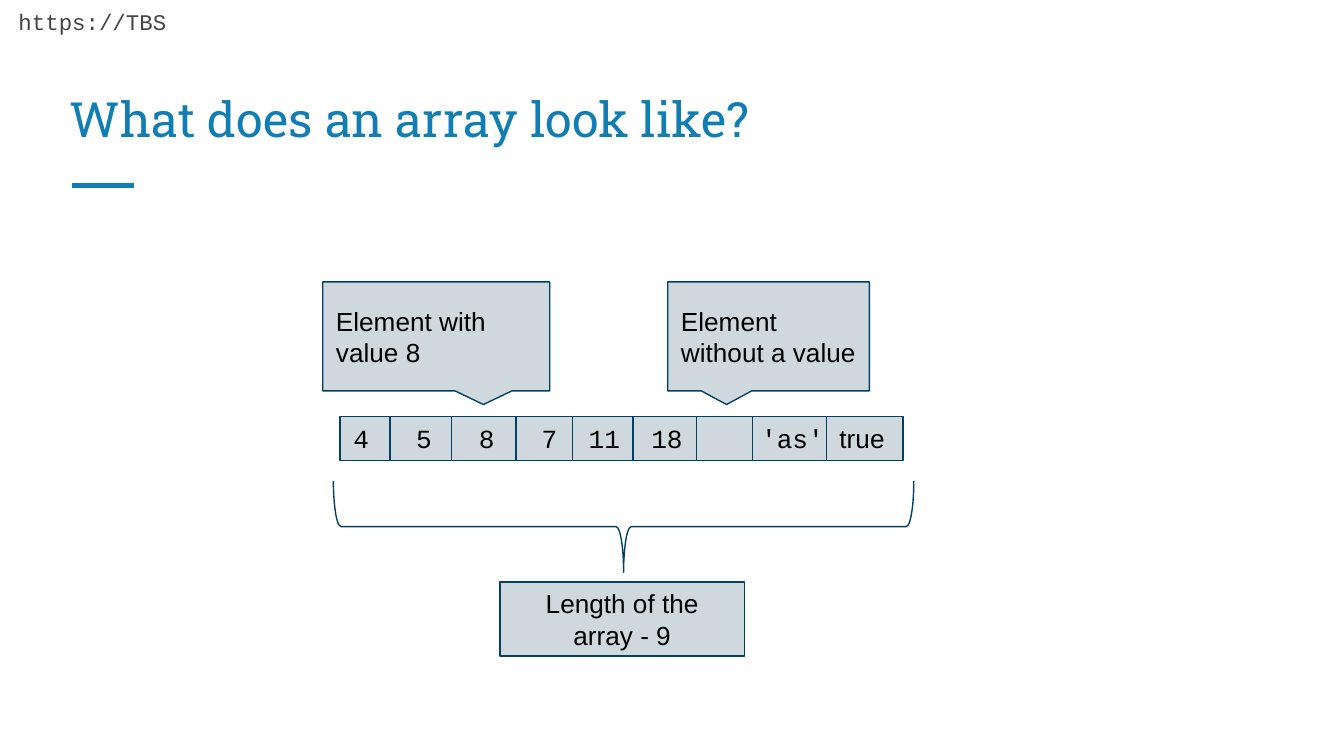
from dataclasses import dataclass

from lxml.etree import SubElement
from pptx import Presentation
from pptx.dml.color import RGBColor
from pptx.enum.shapes import MSO_CONNECTOR, MSO_SHAPE
from pptx.enum.text import MSO_ANCHOR, PP_ALIGN
from pptx.oxml.ns import qn
from pptx.util import Cm, Pt


@dataclass(frozen=True)
class Theme:
    accent: RGBColor = RGBColor(0x10, 0x7D, 0xB4)
    outline: RGBColor = RGBColor(0x00, 0x40, 0x65)
    panel: RGBColor = RGBColor(0xCF, 0xD8, 0xDC)
    ink: RGBColor = RGBColor(0x00, 0x00, 0x00)
    muted: RGBColor = RGBColor(0x44, 0x44, 0x44)
    sans: str = "Arial"
    mono: str = "Courier New"
    slab: str = "Roboto Slab"
    title_size: float = 26
    body_size: float = 14
    link_size: float = 12
    thin: float = 0.75
    thick: float = 3
    mono_advance: float = 0.6


THEME = Theme()
ARRAY_LEFT, ARRAY_TOP, ARRAY_WIDTH, ARRAY_HEIGHT = 6.43, 7.87, 10.64, 0.84
DIVIDERS = (7.37, 8.53, 9.75, 10.82, 11.96, 13.16, 14.22, 15.62)
ELEMENTS = (
    ("4", 0), ("5", 4), ("8", 8), ("7", 12),
    ("11", 15), ("18", 19), ("'as'", 26), ("true", 31),
)
CALLOUTS = (
    ("Element with value 8", 6.1, 4.29, 0.208),
    ("Element without a value", 12.62, 3.81, -0.208),
)


def prepare_frame(shape, anchor, align=PP_ALIGN.LEFT):
    frame = shape.text_frame
    frame.word_wrap = True
    frame.vertical_anchor = anchor
    frame.margin_left = frame.margin_right = Cm(0.25)
    frame.margin_top = frame.margin_bottom = Cm(0.25)
    para = frame.paragraphs[0]
    para.alignment = align
    return para


def add_span(para, text, font, size, color):
    span = para.add_run()
    span.text = text
    span.font.name = font
    span.font.size = Pt(size)
    span.font.color.rgb = color


def add_label(page, text, bounds, font, size, color, anchor):
    box = page.shapes.add_textbox(*map(Cm, bounds))
    add_span(prepare_frame(box, anchor), text, font, size, color)


def add_outlined(page, kind, bounds, adjustments=()):
    shape = page.shapes.add_shape(kind, *map(Cm, bounds))
    shape.shadow.inherit = False
    shape.line.color.rgb = THEME.outline
    shape.line.width = Pt(THEME.thin)
    for index, value in enumerate(adjustments):
        shape.adjustments[index] = value
    return shape


def add_panel(page, kind, bounds, align=PP_ALIGN.LEFT, adjustments=()):
    panel = add_outlined(page, kind, bounds, adjustments)
    panel.fill.solid()
    panel.fill.fore_color.rgb = THEME.panel
    return prepare_frame(panel, MSO_ANCHOR.MIDDLE, align)


def add_line(page, start, end, color, width):
    line = page.shapes.add_connector(
        MSO_CONNECTOR.STRAIGHT, *map(Cm, start + end)
    )
    line.line.color.rgb = color
    line.line.width = Pt(width)
    SubElement(line._element.spPr, qn("a:effectLst"))


def add_tab_stops(para, columns):
    stops = SubElement(para._p.get_or_add_pPr(), qn("a:tabLst"))
    for column in columns:
        position = Pt(column * THEME.body_size * THEME.mono_advance)
        SubElement(stops, qn("a:tab"), pos=str(position), algn="l")


def add_array(page):
    bounds = (ARRAY_LEFT, ARRAY_TOP, ARRAY_WIDTH, ARRAY_HEIGHT)
    para = add_panel(page, MSO_SHAPE.RECTANGLE, bounds)
    add_tab_stops(para, [column for _, column in ELEMENTS[1:]])
    for text, column in ELEMENTS:
        font = THEME.sans if text == "true" else THEME.mono
        lead = "\t" if column else ""
        add_span(para, lead + text, font, THEME.body_size, THEME.ink)
    for x in DIVIDERS:
        add_line(page, (x, ARRAY_TOP), (x, ARRAY_TOP + ARRAY_HEIGHT),
                 THEME.outline, THEME.thin)


def add_length(page):
    para = add_panel(page, MSO_SHAPE.RECTANGLE, (9.45, 11, 4.62, 1.4),
                     PP_ALIGN.CENTER)
    add_span(para, "Length of the array - 9", THEME.sans, THEME.body_size,
             THEME.ink)
    brace = add_outlined(page, MSO_SHAPE.RIGHT_BRACE,
                         (10.92, 4.47, 1.73, 10.97), (0.083, 0.5))
    brace.rotation = 90
    brace.fill.background()


def add_callout(page, text, left, width, tip):
    para = add_panel(page, MSO_SHAPE.ROUNDED_RECTANGULAR_CALLOUT,
                     (left, 5.33, width, 2.06), adjustments=(tip, 0.625, 0))
    add_span(para, text, THEME.sans, THEME.body_size, THEME.ink)


def main():
    deck = Presentation()
    deck.slide_width, deck.slide_height = Cm(25.4), Cm(14.29)
    page = deck.slides.add_slide(deck.slide_layouts[6])
    add_label(page, "https://TBS", (0.1, -0.1, 7.72, 0.97),
              THEME.mono, THEME.link_size, THEME.muted, MSO_ANCHOR.TOP)
    add_line(page, (1.37, 3.51), (2.54, 3.51), THEME.accent, THEME.thick)
    add_label(page, "What does an array look like?", (1.07, 1.12, 23.24, 1.91),
              THEME.slab, THEME.title_size, THEME.accent, MSO_ANCHOR.BOTTOM)
    add_array(page)
    add_length(page)
    for callout in CALLOUTS:
        add_callout(page, *callout)
    deck.save("out.pptx")


if __name__ == "__main__":
    main()
